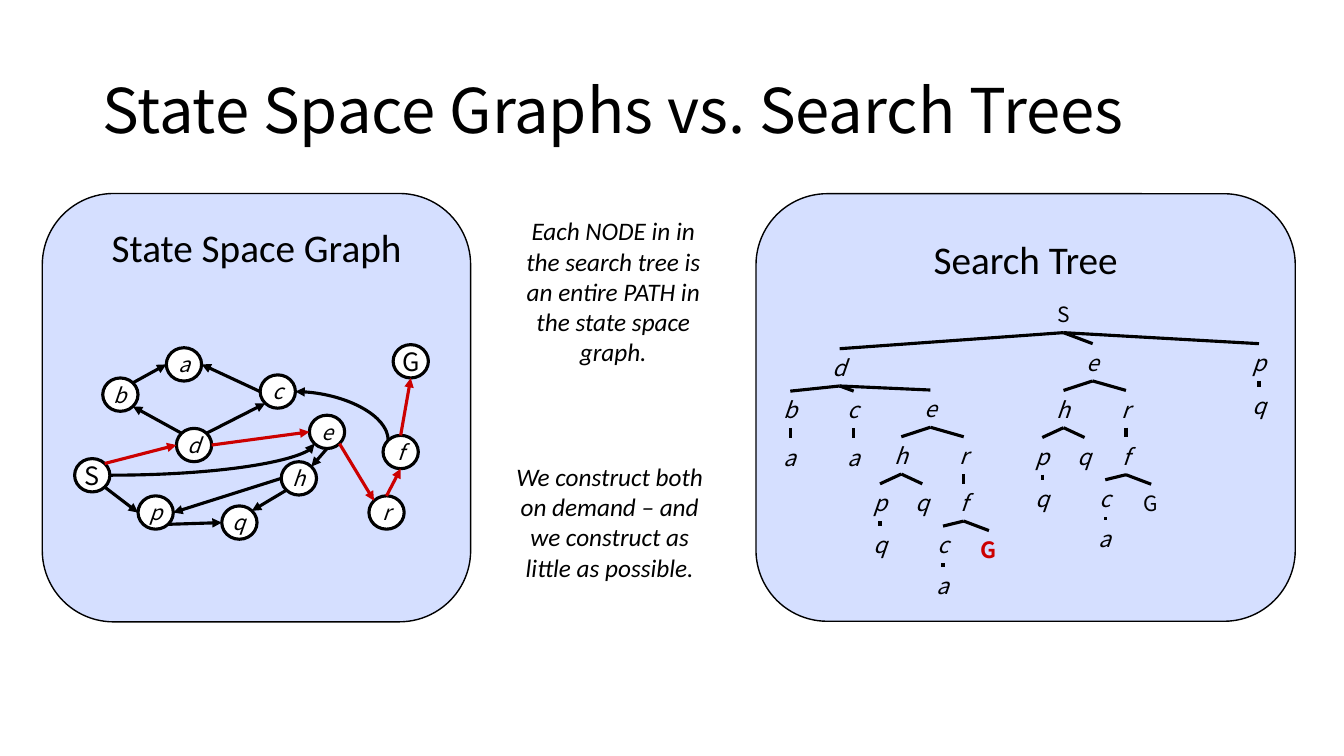
import pptx
import pptx.util
import pptx.dml.color
import pptx.enum.shapes
import pptx.enum.text
import pptx.oxml.ns
import lxml.etree

Pt = pptx.util.Pt
SHAPE = pptx.enum.shapes.MSO_SHAPE
LINK = pptx.enum.shapes.MSO_CONNECTOR
ALIGN = pptx.enum.text.PP_ALIGN
qn = pptx.oxml.ns.qn

BLACK, RED, WHITE, PANEL = "000000", "CC0000", "FFFFFF", "D5DFFF"
SYMBOL_FONT, BODY_FONT = "Noto Sans CJK SC", "Calibri"
NODE_W, NODE_H = 25.2, 23.8
LABEL_W, LABEL_H = 50, 26.6


def rgb(value):
    return pptx.dml.color.RGBColor.from_string(value)


class Drawing:
    line_width = 2.25

    def __init__(self, s):
        self.s = s

    def fill_text(self, sp, text, size, font, color=BLACK, align=ALIGN.CENTER,
                  italic=False, bold=False, wrap=True, margins=(7.2, 3.6)):
        tf = sp.text_frame
        tf.word_wrap = wrap
        tf.vertical_anchor = pptx.enum.text.MSO_ANCHOR.MIDDLE
        tf.margin_left = tf.margin_right = Pt(margins[0])
        tf.margin_top = tf.margin_bottom = Pt(margins[1])
        p = tf.paragraphs[0]
        p.alignment = align
        r = p.add_run()
        r.text = text
        r.font.size, r.font.name = Pt(size), font
        r.font.italic, r.font.bold = italic, bold
        r.font.color.rgb = rgb(color)
        return p

    def text(self, x, y, w, h, text, size, font=BODY_FONT, **style):
        sp = self.s.shapes.add_textbox(Pt(x), Pt(y), Pt(w), Pt(h))
        return self.fill_text(sp, text, size, font, **style)

    def shape(self, kind, x, y, w, h, fill, width):
        sp = self.s.shapes.add_shape(kind, Pt(x), Pt(y), Pt(w), Pt(h))
        sp.shadow.inherit = False
        sp.fill.solid()
        sp.fill.fore_color.rgb = rgb(fill)
        sp.line.color.rgb = rgb(BLACK)
        sp.line.width = Pt(width)
        return sp

    def line(self, start, end, color=BLACK, arrow=None, curved=False):
        kind = LINK.CURVE if curved else LINK.STRAIGHT
        sp = self.s.shapes.add_connector(kind, *map(Pt, start + end))
        sp.line.color.rgb = rgb(color)
        sp.line.width = Pt(self.line_width)
        props = sp._element.spPr
        if curved:
            props.find(qn("a:prstGeom")).set("prst", "curvedConnector2")
        if arrow:
            ln = props.find(qn("a:ln"))
            lxml.etree.SubElement(ln, qn("a:" + arrow)).set("type", "triangle")
        lxml.etree.SubElement(props, qn("a:effectLst"))

    def graph_node(self, name, x, y):
        sp = self.shape(SHAPE.FLOWCHART_CONNECTOR, x, y, NODE_W, NODE_H,
                        WHITE, self.line_width)
        self.fill_text(sp, name, 18 if name.isupper() else 15, SYMBOL_FONT,
                       italic=name.islower(), wrap=False, margins=(0, 0))

    def tree(self, node):
        """Draw a node centred at x with its top at y, then its branches."""
        name, x, y, children, goal = node
        self.text(x - LABEL_W / 2, y, LABEL_W, LABEL_H, name,
                  16 if goal or name.islower() else 15, SYMBOL_FONT,
                  color=RED if goal else BLACK, bold=goal,
                  italic=name.islower())
        for child in children:
            self.line((x, y + LABEL_H), (child[1], child[2]))
            self.tree(child)


def node(name, x, y, *children, goal=False):
    return name, x, y, children, goal


def e_branch(x, y, goal=False):
    """The subtree below e, which occurs twice in the search tree."""
    def at(name, dx, dy, *children, **kw):
        return node(name, x + dx, y + dy, *children, **kw)
    return at("e", 0, 0,
              at("h", -20.8, 33.4,
                 at("p", -36, 67, at("q", -36, 97.2)),
                 at("q", -5.8, 67)),
              at("r", 23.8, 33.4,
                 at("f", 23.8, 67,
                    at("c", 9, 97.2, at("a", 9, 126.2)),
                    at("G", 41.8, 100.4, goal=goal))))


prs = pptx.Presentation()
prs.slide_width, prs.slide_height = Pt(960), Pt(540)
s = prs.slides.add_slide(prs.slide_layouts[6])
d = Drawing(s)

# Panels and title
d.shape(SHAPE.ROUNDED_RECTANGLE, 540, 138.4, 385.2, 305.4, PANEL, 1)
d.shape(SHAPE.ROUNDED_RECTANGLE, 30.2, 138.2, 306, 306, PANEL, 1)
title = d.text(66, 28.8, 828, 104.4, "State Space Graphs vs. Search Trees", 44,
               SYMBOL_FONT, align=ALIGN.LEFT)
title.line_spacing = 0.9

# Search tree
d.tree(node("S", 759.6, 211,
            node("d", 599.8, 249.1,
                 node("b", 564.5, 279.4, node("a", 564.5, 313.2)),
                 node("c", 609.8, 279.4, node("a", 609.8, 313.2)),
                 e_branch(664.6, 278.6, goal=True)),
            e_branch(780.5, 245.5),
            node("p", 899.3, 245.5, node("q", 899.3, 276.5))))

# State space graph: left and top of each node
nodes = {
    "S": (53.3, 327.6), "G": (280.8, 246.2), "d": (126, 306),
    "b": (73.4, 270), "p": (98.6, 354.2), "q": (158.4, 361.4),
    "c": (185.8, 267.8), "e": (221, 296.6), "h": (200.9, 329.8),
    "a": (118.8, 248.4), "f": (273.6, 311), "r": (263.5, 354.2),
}
for name, (x, y) in nodes.items():
    d.graph_node(name, x, y)


def site(name, side):
    """Point on a node's rim, named by t, b, l, r or a pair of them."""
    x, y = nodes[name]
    reach = 0.5 if len(side) == 1 else 0.354
    dx = ("r" in side) - ("l" in side)
    dy = ("b" in side) - ("t" in side)
    return (x + NODE_W * (0.5 + reach * dx), y + NODE_H * (0.5 + reach * dy))


black_edges = ["S br p l", "p br q l", "h bl q tr", "h l p r", "e b h tr",
               "d tl b br", "b tr a l", "c l a r", "d tr c bl"]
goal_edges = ["S tr d l", "d r e l", "e br r tl", "r t f b", "f t G b"]
for edges, color in ((black_edges, BLACK), (goal_edges, RED)):
    for edge in edges:
        a, a_side, b, b_side = edge.split()
        d.line(site(a, a_side), site(b, b_side), color, "tailEnd")
d.line(site("c", "r"), site("f", "tl"), arrow="headEnd", curved=True)
d.line(site("S", "r"), site("e", "bl"), arrow="tailEnd", curved=True)

# Notes between the panels
d.text(354.2, 325.4, 162.7, 94.3, "We construct both on demand – and we "
       "construct as little as possible.", 18, italic=True)
d.text(360, 149.8, 156.2, 116.6, "Each NODE in in the search tree is an entire "
       "PATH in the state space graph.", 18, italic=True)

# Panel headings
d.text(540.7, 164.2, 383.8, 41, "Search Tree", 28)
d.text(48.2, 156.2, 270, 41, "State Space Graph", 28)

prs.save("out.pptx")
